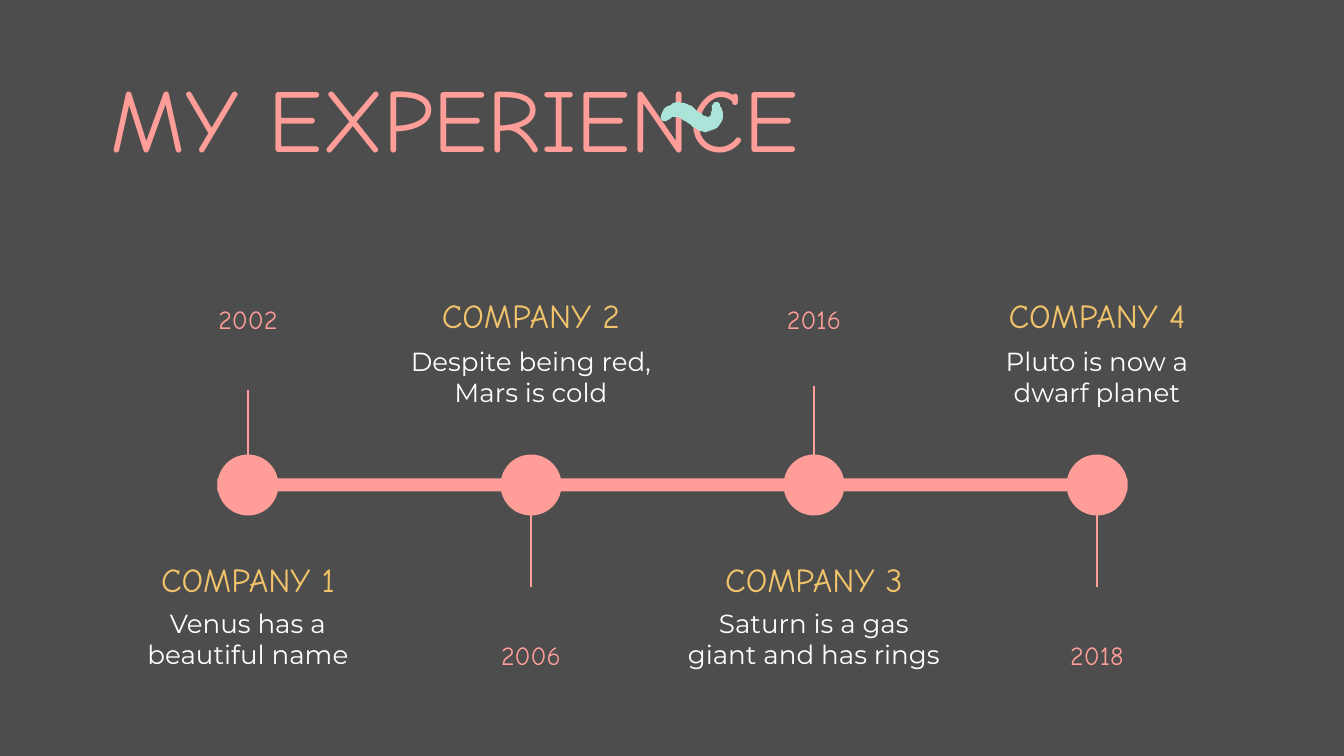
"""Build the timeline slide of work experience."""
from lxml.etree import SubElement
from pptx import Presentation
from pptx.dml.color import RGBColor as RGB
from pptx.enum.shapes import MSO_CONNECTOR as LINK, MSO_SHAPE as KIND
from pptx.enum.text import MSO_ANCHOR as ANCHOR, MSO_AUTO_SIZE as AUTO, PP_ALIGN as ALIGN
from pptx.oxml.ns import qn
from pptx.util import Emu, Pt

TITLE = "MY EXPERIENCE"
JOBS = [
    {"year": "2002", "name": "COMPANY 1", "note": "Venus has a beautiful name", "stem": (390, 464)},
    {"year": "2006", "name": "COMPANY 2", "note": "Despite being red, Mars is cold", "stem": (515, 587)},
    {"year": "2016", "name": "COMPANY 3", "note": "Saturn is a gas giant and has rings", "stem": (386, 464)},
    {"year": "2018", "name": "COMPANY 4", "note": "Pluto is now a dwarf planet", "stem": (515, 587)},
]
START = (716, 102)
WAVE = [
    ((719, 102), (720, 103), (720, 106)), ((722, 109), (723, 112), (723, 114)),
    ((723, 122), (719, 128), (712, 130)), ((710, 130), (707, 132), (706, 132)),
    ((702, 132), (698, 130), (695, 128)), ((691, 125), (688, 122), (685, 121)),
    ((681, 118), (679, 117), (676, 117)), ((673, 117), (672, 117), (668, 120)),
    ((667, 121), (665, 121), (664, 121)), ((664, 121), (664, 121), (663, 121)),
    ((661, 120), (661, 118), (661, 116)), ((663, 110), (665, 106), (671, 105)),
    ((673, 103), (676, 102), (679, 102)), ((679, 102), (680, 103), (681, 103)),
    ((687, 103), (692, 106), (696, 110)), ((699, 112), (702, 114), (704, 116)),
    ((706, 116), (707, 117), (707, 117)), ((710, 117), (711, 116), (711, 113)),
    ((712, 110), (712, 109), (712, 106)), ((712, 105), (714, 102), (716, 102)),
]
PINK, GOLD, MINT, WHITE, GREY = "FF9E98", "F1C36A", "ABE5D9", "FFFFFF", "4D4D4D"
HAND, SANS = "Comic Neue", "Montserrat"
LOOK = {
    "year": {"font": HAND, "size": 14, "hue": PINK, "wide": 296, "high": 60, "tops": (290, 626), "after": 0},
    "name": {"font": HAND, "size": 18, "hue": GOLD, "wide": 296, "high": 71, "tops": (546, 282), "after": 0},
    "note": {"font": SANS, "size": 14, "hue": WHITE, "wide": 286, "high": 71, "tops": (594, 332), "after": 16},
}
FIRST, STEP, MID, DOT, BAR = 248, 283, 485, 61, 13
SCALE = 914400 / 134.4


def px(num):
    """Turn px into EMU."""
    return Emu(round(num * SCALE))


def box(*nums):
    """Turn several px lengths into EMU."""
    return [px(num) for num in nums]


def tint(fill, hue):
    """Make a fill solid in one colour."""
    fill.solid()
    fill.fore_color.rgb = RGB.from_string(hue)


def plain(shape, hue):
    """Give a shape a flat fill with no line or shadow."""
    shape.shadow.inherit = False
    tint(shape.fill, hue)
    shape.line.fill.background()


def write(shape, text, font, size, hue, align, after=0):
    """Set and format the one paragraph of a shape."""
    frame = shape.text_frame
    form = {"word_wrap": True, "auto_size": AUTO.NONE, "vertical_anchor": ANCHOR.TOP}
    form.update({"margin_" + side: px(13) for side in ("left", "top", "right", "bottom")})
    for key, value in form.items():
        setattr(frame, key, value)
    para = frame.paragraphs[0]
    for key, value in {"text": text, "alignment": align, "space_before": Pt(0), "space_after": Pt(after)}.items():
        setattr(para, key, value)
    for run in para.runs:
        for key, value in {"name": font, "size": Pt(size)}.items():
            setattr(run.font, key, value)
        run.font.color.rgb = RGB.from_string(hue)


def curve(start, parts, steps=6):
    """List points along a chain of cubic curves."""
    dots = []
    for one, two, end in parts:
        for step in range(1, steps + 1):
            t = step / steps
            u = 1 - t
            dots.append(tuple(
                u**3 * a + 3 * u * u * t * b + 3 * u * t * t * c + t**3 * d
                for a, b, c, d in zip(start, one, two, end)))
        start = end
    return dots


def stem(shapes, mid, top, end):
    """Draw one thin upright line."""
    line = shapes.add_connector(LINK.STRAIGHT, *box(mid, top, mid, end))
    line.line.width = Pt(1.5)
    tint(line.line.fill, PINK)
    SubElement(line._element.spPr, qn("a:effectLst"))


def main():
    """Build and save the slide."""
    deck = Presentation()
    deck.slide_width, deck.slide_height = box(1344, 756)
    slide = deck.slides.add_slide(deck.slide_layouts[5])
    tint(slide.background.fill, GREY)
    shapes = slide.shapes

    title = shapes.title
    for key, value in zip(("left", "top", "width", "height"), box(97, 50, 1201, 133)):
        setattr(title, key, value)
    write(title, TITLE, HAND, 48, PINK, ALIGN.LEFT)

    pen = shapes.build_freeform(*START, scale=SCALE)
    pen.add_line_segments(curve(START, WAVE), close=True)
    plain(pen.convert_to_shape(), MINT)

    mids = [FIRST + STEP * i for i in range(len(JOBS))]
    span = mids[-1] - FIRST + DOT
    plain(shapes.add_shape(KIND.RECTANGLE, *box(FIRST - DOT / 2, MID - BAR / 2, span, BAR)), PINK)
    for mid in mids:
        plain(shapes.add_shape(KIND.OVAL, *box(mid - DOT / 2, MID - DOT / 2, DOT, DOT)), PINK)

    for i, (mid, job) in enumerate(zip(mids, JOBS)):
        stem(shapes, mid, *job["stem"])
        for part, look in LOOK.items():
            wide = look["wide"]
            area = box(mid - wide / 2, look["tops"][i % 2], wide, look["high"])
            write(shapes.add_textbox(*area), job[part], look["font"], look["size"],
                  look["hue"], ALIGN.CENTER, look["after"])

    deck.save("out.pptx")


if __name__ == "__main__":
    main()
